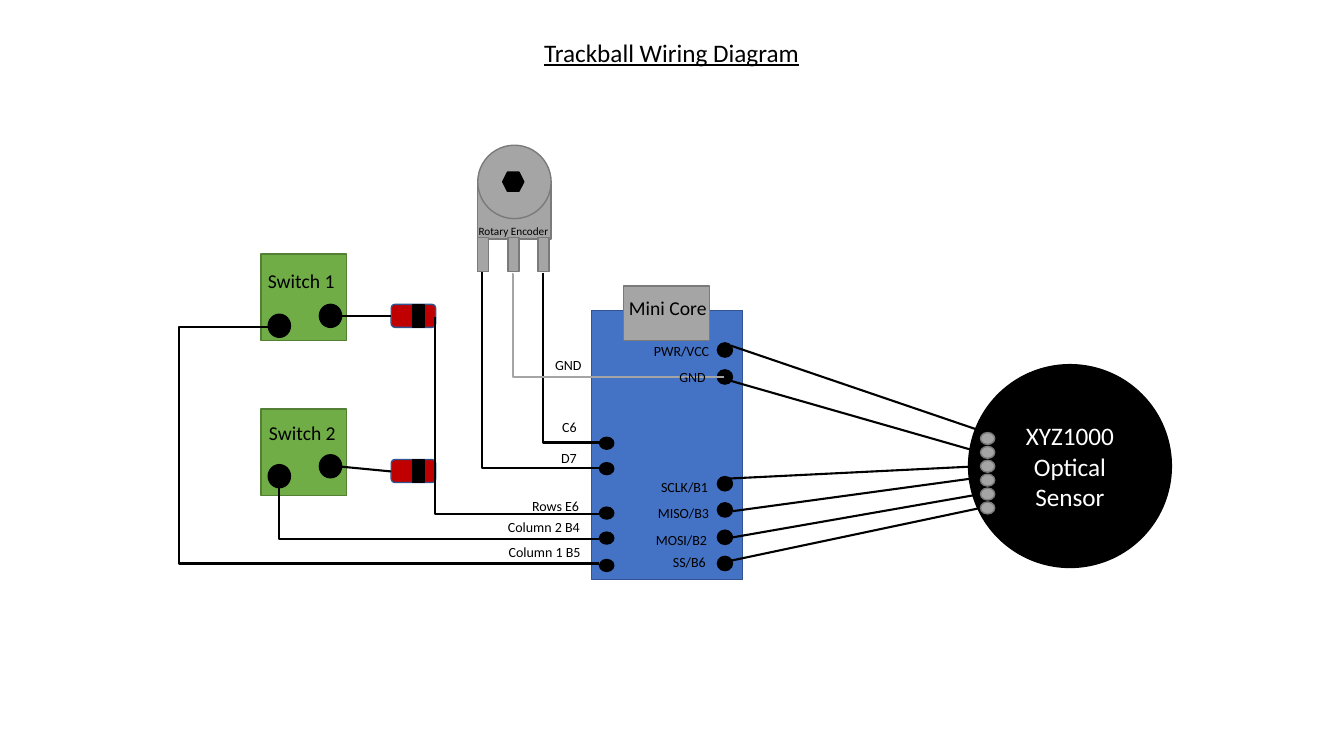
from lxml import etree
from pptx import Presentation
from pptx.dml.color import RGBColor
from pptx.enum.shapes import MSO_CONNECTOR, MSO_SHAPE
from pptx.enum.text import MSO_ANCHOR, PP_ALIGN
from pptx.oxml.ns import qn
from pptx.util import Cm, Pt

RECT = MSO_SHAPE.RECTANGLE
ROUND = MSO_SHAPE.ROUNDED_RECTANGLE
OVAL = MSO_SHAPE.OVAL
PIN = MSO_SHAPE.FLOWCHART_CONNECTOR
HEXAGON = MSO_SHAPE.HEXAGON
STRAIGHT = MSO_CONNECTOR.STRAIGHT
ELBOW = MSO_CONNECTOR.ELBOW

BLACK = RGBColor(0x00, 0x00, 0x00)
WHITE = RGBColor(0xFF, 0xFF, 0xFF)
BLUE = RGBColor(0x44, 0x72, 0xC4)
DARK_BLUE = RGBColor(0x32, 0x54, 0x91)
GREEN = RGBColor(0x70, 0xAD, 0x47)
DARK_GREEN = RGBColor(0x53, 0x80, 0x35)
GRAY = RGBColor(0xA5, 0xA5, 0xA5)
DARK_GRAY = RGBColor(0x7A, 0x7A, 0x7A)
RED = RGBColor(0xC0, 0x00, 0x00)

prs = Presentation()
prs.slide_width, prs.slide_height = Cm(33.87), Cm(19.05)
s = prs.slides.add_slide(prs.slide_layouts[6])


def add_part(kind, x, y, w, h, fill=BLACK, line=BLACK):
    sp = s.shapes.add_shape(kind, Cm(x), Cm(y), Cm(w), Cm(h))
    sp.shadow.inherit = False
    sp.fill.solid()
    sp.fill.fore_color.rgb = fill
    sp.line.color.rgb = line
    sp.line.width = Pt(1)
    return sp


def add_wire(x1, y1, x2, y2, preset=None, adjust=(), down=False, color=BLACK):
    if down:
        cx, cy, dx, dy = (x1 + x2) / 2, (y1 + y2) / 2, x2 - x1, y2 - y1
        x1, x2, y1, y2 = cx - dy / 2, cx + dy / 2, cy - dx / 2, cy + dx / 2
    cxn = s.shapes.add_connector(ELBOW if preset else STRAIGHT,
                                 Cm(x1), Cm(y1), Cm(x2), Cm(y2))
    cxn.line.color.rgb = color
    cxn.line.width = Pt(1.5)
    spPr = cxn._element.spPr
    etree.SubElement(spPr, qn("a:effectLst"))
    if down:
        xfrm = spPr.find(qn("a:xfrm"))
        xfrm.set("rot", "16200000")
        xfrm.set("flipH", "1")
    if preset:
        geom = spPr.find(qn("a:prstGeom"))
        geom.set("prst", preset)
        for i, value in enumerate(adjust, 1):
            etree.SubElement(geom.find(qn("a:avLst")), qn("a:gd"),
                             name=f"adj{i}", fmla=f"val {round(value * 100000)}")


add_part(RECT, 14.91, 7.82, 3.81, 6.78, BLUE, DARK_BLUE)
sensor = add_part(OVAL, 24.41, 9.19, 5.11, 5.11)
tf = sensor.text_frame
tf.word_wrap = True
tf.vertical_anchor = MSO_ANCHOR.MIDDLE
tf.text = "XYZ1000\nOptical Sensor"
for p in tf.paragraphs:
    p.alignment = PP_ALIGN.CENTER
    p.font.name = "Calibri"
    p.font.size = Pt(18)
    p.font.color.rgb = WHITE

add_part(RECT, 15.72, 7.21, 2.16, 1.37, GRAY, DARK_GRAY)
for y in (11.02, 11.66, 12.78, 13.41, 14.1):
    add_part(PIN, 15.11, y, 0.36, 0.3)
for y in (8.64, 9.32, 12.01, 12.67, 13.36, 14.02):
    add_part(PIN, 18.08, y, 0.38, 0.36)

for switch_y, pin_y, diode_y in ((6.4, 7.67, 7.67), (10.31, 11.46, 11.58)):
    add_part(RECT, 6.58, switch_y, 2.16, 2.18, GREEN, DARK_GREEN)
    add_part(PIN, 8.05, pin_y, 0.56, 0.58)
    add_part(PIN, 6.76, pin_y + 0.25, 0.56, 0.58)
    add_part(ROUND, 9.86, diode_y, 1.12, 0.58, RED, DARK_BLUE)
    add_part(RECT, 10.41, diode_y, 0.28, 0.58)
    add_wire(8.61, pin_y + 0.3, 9.86, diode_y + 0.3)

add_wire(7.04, 11.71, 15.09, 13.59, "bentConnector4", (0.995, 0.517), down=True)
add_wire(7.32, 8.23, 15.09, 14.2, "bentConnector3", (-0.36,))
add_wire(10.97, 7.98, 10.97, 11.89)
add_wire(10.97, 11.89, 15.09, 12.95, "bentConnector3", (0.001,))

for ends in (
    (24.99, 10.95, 18.42, 8.71),
    (24.71, 11.4, 18.08, 9.5),
    (25.04, 11.73, 18.14, 12.07),
    (24.99, 11.99, 18.47, 12.88),
    (24.71, 12.45, 18.47, 13.54),
    (24.71, 12.8, 18.08, 14.2),
):
    add_wire(*ends)
for i in range(6):
    add_part(PIN, 24.71, 10.9 + 0.35 * i, 0.36, 0.3, GRAY, DARK_GRAY)

add_part(RECT, 12.04, 4.62, 1.85, 1.4, GRAY, DARK_GRAY)
add_part(OVAL, 12.04, 3.66, 1.85, 1.85, GRAY, DARK_GRAY)
add_part(HEXAGON, 12.67, 4.34, 0.53, 0.48)
for i in range(3):
    add_part(RECT, 12.04 + 0.76 * i, 5.99, 0.28, 0.86, GRAY, DARK_GRAY)
add_wire(13.69, 6.88, 15.11, 11.15, "bentConnector2", down=True)
add_wire(12.14, 6.86, 15.11, 11.79, "bentConnector2", down=True)
add_wire(12.9, 6.91, 18.24, 9.5, "bentConnector3", (0.006,), color=GRAY)

for text, x, y, w, h, size in (
    ("Trackball Wiring Diagram", 13.18, 0.81, 7.49, 1.02, 18),
    ("Switch 1", 6.5, 6.65, 2.21, 0.86, 14),
    ("Switch 2", 6.53, 10.49, 2.21, 0.86, 14),
    ("Mini Core", 15.6, 7.32, 2.49, 0.86, 14),
    ("Rotary Encoder", 11.81, 5.54, 2.29, 0.61, 8),
    ("PWR/VCC", 16.23, 8.51, 1.93, 0.69, 10),
    ("GND", 16.87, 9.17, 1.32, 0.69, 10),
    ("SCLK/B1", 16.41, 11.94, 1.93, 0.69, 10),
    ("MISO/B3", 16.33, 12.6, 1.93, 0.69, 10),
    ("MOSI/B2", 16.28, 13.26, 1.93, 0.69, 10),
    ("SS/B6", 16.71, 13.82, 1.93, 0.69, 10),
    ("GND", 13.74, 8.86, 1.19, 0.69, 10),
    ("C6", 13.92, 10.41, 0.89, 0.69, 10),
    ("D7", 13.89, 11.2, 0.91, 0.69, 10),
    ("Rows E6", 13.16, 12.42, 1.93, 0.69, 10),
    ("Column 2 B4", 12.55, 12.95, 2.46, 0.69, 10),
    ("Column 1 B5", 12.57, 13.56, 2.46, 0.69, 10),
):
    tf = s.shapes.add_textbox(Cm(x), Cm(y), Cm(w), Cm(h)).text_frame
    tf.word_wrap = size == 10 and w > 1.2
    p = tf.paragraphs[0]
    p.text = text
    p.font.name = "Calibri"
    p.font.size = Pt(size)
    p.font.color.rgb = BLACK
    if size == 18:
        p.font.underline = True
        p.alignment = PP_ALIGN.CENTER

prs.save("out.pptx")
